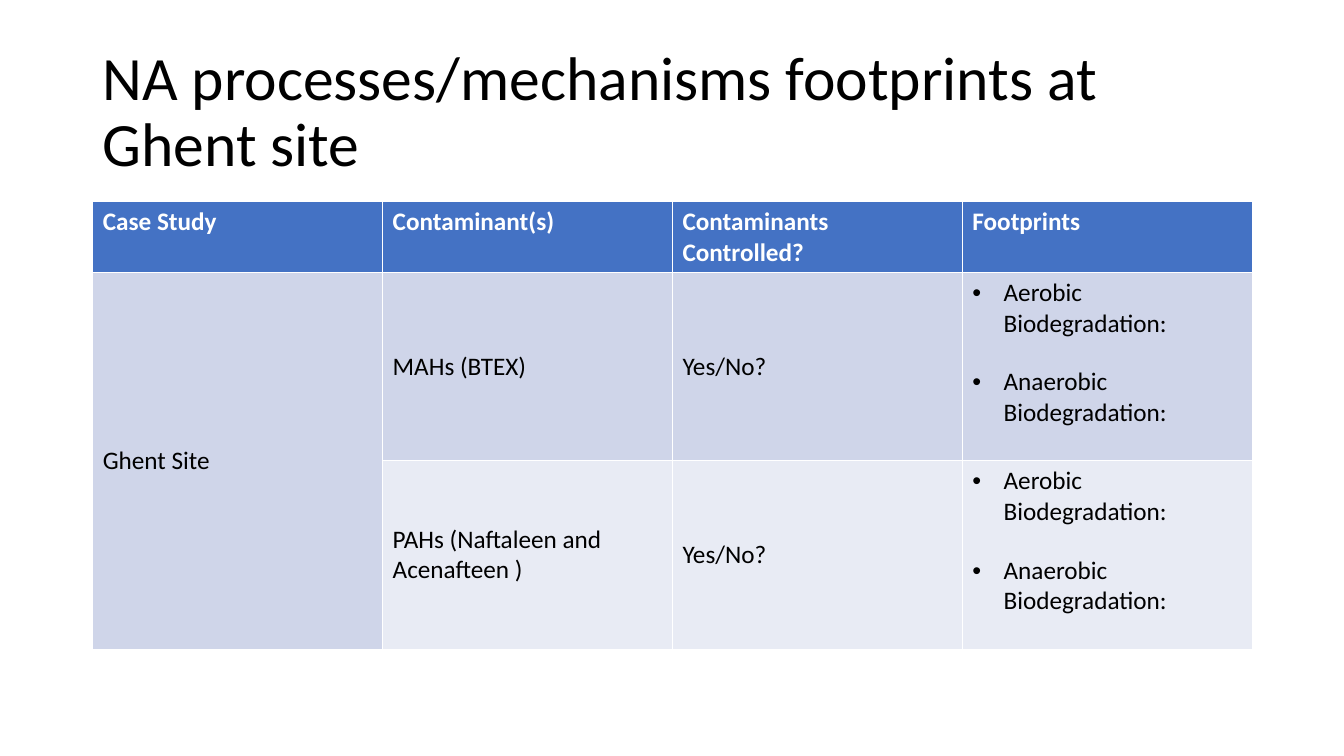
from dataclasses import dataclass

from lxml import etree
from pptx import Presentation
from pptx.dml.color import RGBColor
from pptx.enum import text
from pptx.oxml import ns
from pptx.util import Inches, Pt


@dataclass(frozen=True)
class Theme:
    font: str = "Calibri"
    title_size: int = 44
    body_size: int = 18
    ink: str = "000000"
    paper: str = "FFFFFF"
    header: str = "4472C4"
    bands: tuple = ("CFD5E9", "E8EBF4")
    border_width: float = 0.96


THEME = Theme()
LEFT, WIDTH = 0.92, 11.5
ROW_HEIGHTS = (0.7, 1.87, 1.87)
FOOTPRINTS = ("Aerobic Biodegradation:", "Anaerobic Biodegradation:")
HEADINGS = ("Case Study", "Contaminant(s)", "Contaminants Controlled?", "Footprints")
CONTAMINANTS = ("MAHs (BTEX)", "PAHs (Naftaleen and Acenafteen )")


def style_runs(paragraph, size, color, bold=False):
    for run in paragraph.runs:
        run.font.name = THEME.font
        run.font.size = Pt(size)
        run.font.bold = bold
        run.font.color.rgb = RGBColor.from_string(color)


def add_title(slide, wording):
    title = slide.shapes.add_textbox(Inches(LEFT), Inches(0.4), Inches(WIDTH), Inches(1.45))
    frame = title.text_frame
    frame.word_wrap = True
    frame.vertical_anchor = text.MSO_ANCHOR.MIDDLE
    frame.text = wording
    frame.paragraphs[0].line_spacing = 0.9
    style_runs(frame.paragraphs[0], THEME.title_size, THEME.ink)


def set_borders(cell):
    properties = cell._tc.get_or_add_tcPr()
    for position, side in enumerate(("lnL", "lnR", "lnT", "lnB")):
        line = etree.Element(ns.qn(f"a:{side}"), w=str(Pt(THEME.border_width)))
        fill = etree.SubElement(line, ns.qn("a:solidFill"))
        etree.SubElement(fill, ns.qn("a:srgbClr"), val=THEME.paper)
        properties.insert(position, line)


def paint_cell(cell, fill):
    cell.fill.solid()
    cell.fill.fore_color.rgb = RGBColor.from_string(fill)
    set_borders(cell)


def write_cell(cell, wording, color=THEME.ink, bold=False, anchor=text.MSO_ANCHOR.MIDDLE):
    cell.vertical_anchor = anchor
    cell.text_frame.text = wording
    for paragraph in cell.text_frame.paragraphs:
        style_runs(paragraph, THEME.body_size, color, bold)


def add_bullet(paragraph):
    properties = paragraph._p.get_or_add_pPr()
    properties.set("marL", str(Inches(0.31)))
    properties.set("indent", str(Inches(-0.31)))
    etree.SubElement(properties, ns.qn("a:buFont"), typeface="Arial")
    etree.SubElement(properties, ns.qn("a:buChar"), char="•")


def write_footprints(cell):
    write_cell(cell, "\n".join(FOOTPRINTS), anchor=text.MSO_ANCHOR.TOP)
    aerobic, anaerobic = cell.text_frame.paragraphs
    anaerobic.space_before = Pt(20)
    for footprint in (aerobic, anaerobic):
        add_bullet(footprint)


def add_case_table(slide):
    table = slide.shapes.add_table(
        len(ROW_HEIGHTS), len(HEADINGS), Inches(LEFT), Inches(2),
        Inches(WIDTH), Inches(sum(ROW_HEIGHTS))).table
    for row, height, fill in zip(table.rows, ROW_HEIGHTS, (THEME.header, *THEME.bands)):
        row.height = Inches(height)
        for cell in row.cells:
            paint_cell(cell, fill)
    for column, heading in enumerate(HEADINGS):
        write_cell(table.cell(0, column), heading, THEME.paper, True, text.MSO_ANCHOR.TOP)
    table.cell(1, 0).merge(table.cell(2, 0))
    write_cell(table.cell(1, 0), "Ghent Site")
    for row, contaminant in enumerate(CONTAMINANTS, start=1):
        write_cell(table.cell(row, 1), contaminant)
        write_cell(table.cell(row, 2), "Yes/No?")
        write_footprints(table.cell(row, 3))


def main():
    deck = Presentation()
    deck.slide_width, deck.slide_height = Inches(13.33), Inches(7.5)
    slide = deck.slides.add_slide(deck.slide_layouts[6])
    add_title(slide, "NA processes/mechanisms footprints at Ghent site")
    add_case_table(slide)
    deck.save("out.pptx")


if __name__ == "__main__":
    main()
